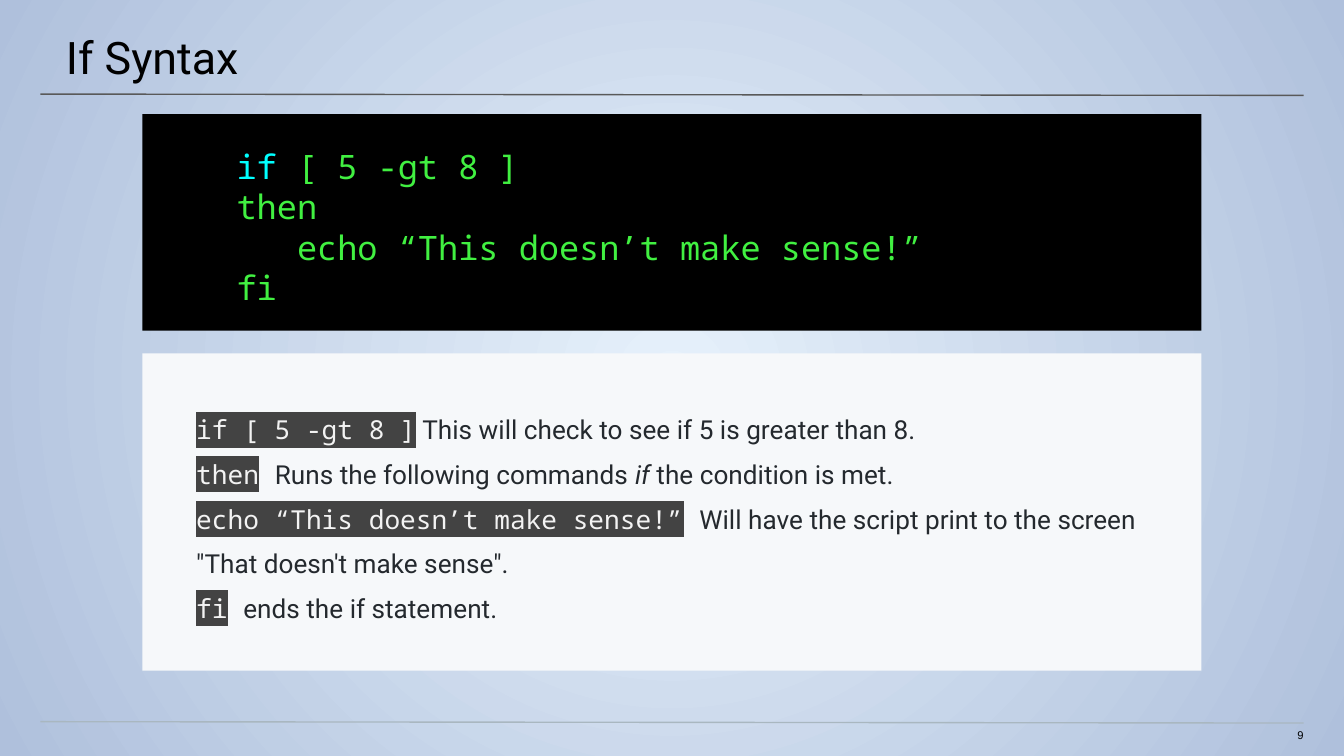
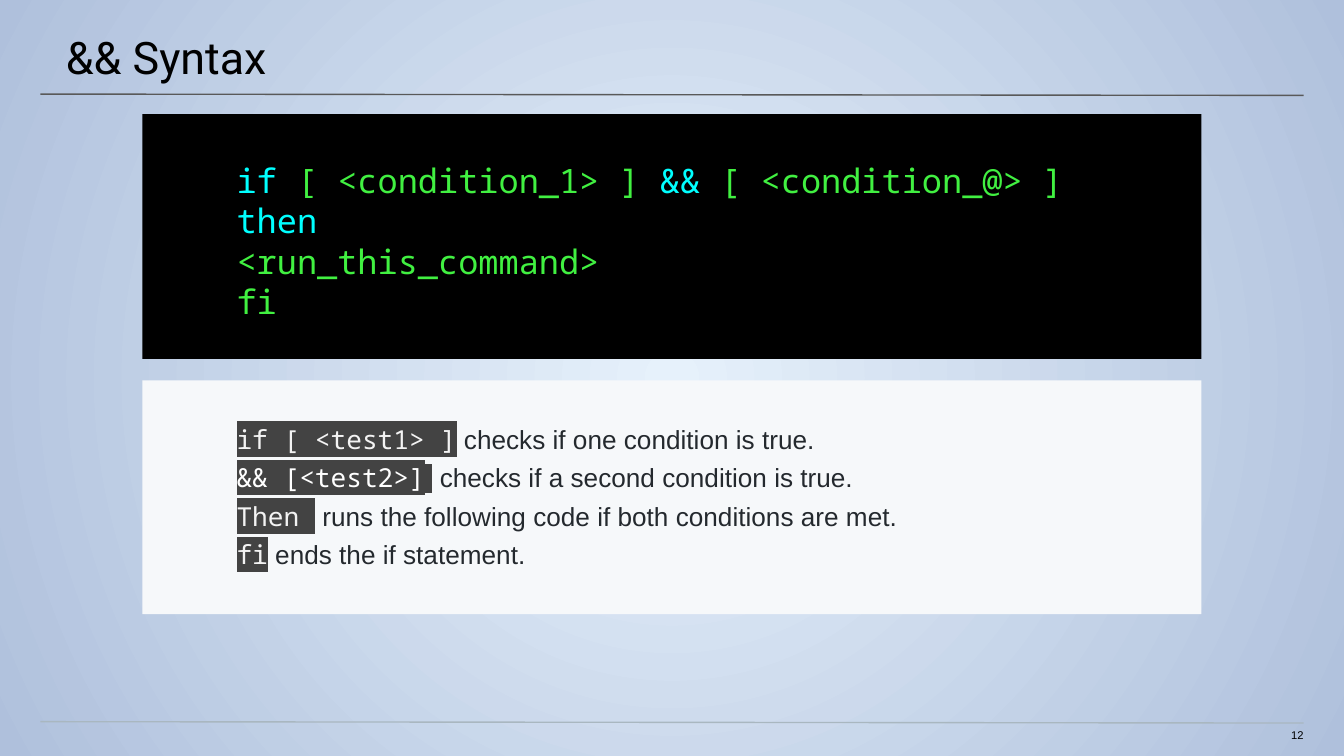
from lxml.etree import SubElement
from pptx import Presentation
from pptx.dml.color import RGBColor
from pptx.enum.shapes import MSO_CONNECTOR
from pptx.enum.text import MSO_ANCHOR, MSO_AUTO_SIZE, PP_ALIGN
from pptx.oxml import parse_xml
from pptx.oxml.ns import nsdecls, qn
from pptx.util import Pt

PX = 4572  # 200 px to the inch

BLACK = RGBColor(0x00, 0x00, 0x00)
WHITE = RGBColor(0xFF, 0xFF, 0xFF)
CYAN = RGBColor(0x00, 0xFF, 0xFF)
GREEN = RGBColor(0x41, 0xF0, 0x41)
PALE = RGBColor(0xF6, 0xF8, 0xFA)
CHALK = RGBColor(0xF3, 0xF3, 0xF3)
SLATE = RGBColor(0x43, 0x43, 0x43)
INK = RGBColor(0x24, 0x29, 0x2E)
GLOW = RGBColor(0xE6, 0xF1, 0xFB)
EDGE = RGBColor(0xAF, 0xC0, 0xDC)
GRAY = RGBColor(0x59, 0x59, 0x59)
MIST = RGBColor(0xA9, 0xB7, 0xC0)

# Run styles: font, colour, highlight, italic
MONO = "Noto Sans Mono"
HEAD = ("Roboto", BLACK, None, False)
PAGE = ("Arial", BLACK, None, False)
KEY = (MONO, CYAN, BLACK, False)
CODE = (MONO, GREEN, BLACK, False)
TAG = (MONO, CHALK, SLATE, False)
LIT = (MONO, WHITE, SLATE, False)
PAD = ("Arial", WHITE, SLATE, False)
GAP = ("Courier New", INK, None, False)
SANS = ("Roboto", INK, None, False)
SLANT = ("Roboto", INK, None, True)
PLAIN = ("Arial", INK, None, False)

# Rules: y at left, y at right, colour
RULES = [(140, 142, GRAY), (1074, 1076, MIST)]

# Note layout: top, height, left inset, top inset, line pitch, space before
SLIDES = [
    dict(
        title="If Syntax", page="9", high=322,
        code=[
            [("if", KEY), (" [ 5 -gt 8 ]", CODE)],
            [("then", CODE)],
            [("   echo “This doesn’t make sense!”", CODE)],
            [("fi", CODE)],
        ],
        note=(526, 472, 80, 70, 23.9, 0),
        lines=[
            [("if [ 5 -gt 8 ]", TAG),
             (" This will check to see if 5 is greater than 8.", SANS)],
            [("then", TAG), (" ", GAP), ("Runs the following commands ", SANS),
             ("if", SLANT), (" the condition is met.", SANS)],
            [("echo “This doesn’t make sense!”", TAG), (" ", GAP),
             ("Will have the script print to the screen "
              "\"That doesn't make sense\".", SANS)],
            [("fi", TAG), (" ", GAP), ("ends the if statement.", SANS)],
        ],
    ),
    dict(
        title="&& Syntax", page="12", high=364,
        code=[
            [("if", KEY), (" [ <condition_1> ] ", CODE), ("&&", KEY),
             (" [ <condition_@> ]", CODE)],
            [("then", KEY)],
            [("<run_this_command>", CODE)],
            [("fi", CODE)],
        ],
        note=(566, 348, 140, 64, 16.6, 4),
        lines=[
            [("if [ <test1> ]", TAG),
             (" checks if one condition is true.", PLAIN)],
            [("&& [<test2>]", LIT), (" ", PAD),
             (" checks if a second condition is true.", PLAIN)],
            [("Then ", TAG),
             (" runs the following code if both conditions are met.", PLAIN)],
            [("fi", TAG), (" ends the if statement.", PLAIN)],
        ],
    ),
]


def place(shape, box, pads, anchor):
    """Set the place, insets and anchor of a text shape."""
    shape.left, shape.top, shape.width, shape.height = [n * PX for n in box]
    frame = shape.text_frame
    frame.word_wrap = True
    frame.auto_size = MSO_AUTO_SIZE.NONE
    frame.vertical_anchor = anchor
    (frame.margin_left, frame.margin_top,
     frame.margin_right, frame.margin_bottom) = [n * PX for n in pads]


def write(shape, lines, size, pitch=None, before=0, align=PP_ALIGN.LEFT):
    """Fill a shape with unbulleted lines, run by run."""
    frame = shape.text_frame
    for i, line in enumerate(lines):
        par = frame.add_paragraph() if i else frame.paragraphs[0]
        props = par._p.get_or_add_pPr()
        props.set("marL", "0")
        props.set("indent", "0")
        SubElement(props, qn("a:buNone"))
        par.alignment = align
        par.space_before = Pt(before if i else 0)
        if pitch:
            par.line_spacing = Pt(pitch)
        for text, (face, color, mark, slant) in line:
            run = par.add_run()
            run.text = text
            font = run.font
            font.name, font.size, font.italic = face, Pt(size), slant
            font.color.rgb = color
            if mark is not None:
                fill = run._r.rPr.find(qn("a:solidFill"))
                fill.addnext(parse_xml(
                    f'<a:highlight {nsdecls("a")}>'
                    f'<a:srgbClr val="{mark}"/></a:highlight>'))


deck = Presentation()
deck.slide_width, deck.slide_height = 2000 * PX, 1125 * PX

# Radial background on the master
back = deck.slide_master.background.fill
back.gradient()
for stop, color, spot in zip(back.gradient_stops, (GLOW, EDGE), (0, 1)):
    stop.color.rgb = color
    stop.position = spot
grad = deck.slide_master.element.find(".//" + qn("p:bgPr")).find(qn("a:gradFill"))
for lin in grad.findall(qn("a:lin")):
    grad.remove(lin)
grad.find(qn("a:gsLst")).addnext(parse_xml(
    f'<a:path {nsdecls("a")} path="circle">'
    '<a:fillToRect l="50000" t="50000" r="50000" b="50000"/></a:path>'))

for item in SLIDES:
    slide = deck.slides.add_slide(deck.slide_layouts.get_by_name("Two Content"))
    title, code, note = slide.placeholders

    # Rules under the title and above the page number
    for left, right, color in RULES:
        rule = slide.shapes.add_connector(
            MSO_CONNECTOR.STRAIGHT, 60 * PX, left * PX, 1940 * PX, right * PX)
        rule.line.color.rgb = color
        rule.line.width = Pt(0.75)
        SubElement(rule._element.spPr, qn("a:effectLst"))

    # Title
    place(title, (-2, 0, 2006, 116), (100, 44, 60, 0), MSO_ANCHOR.TOP)
    write(title, [[(item["title"], HEAD)]], 24)

    # Code panel
    place(code, (212, 170, 1576, item["high"]), (140, 30, 20, 18),
          MSO_ANCHOR.MIDDLE)
    write(code, item["code"], 18, 21.6)

    # Notes panel
    top, high, inset, drop, pitch, before = item["note"]
    place(note, (212, top, 1576, high), (inset, drop, 20, 20), MSO_ANCHOR.TOP)
    write(note, item["lines"], 14, pitch, before)

    for panel, color in ((code, BLACK), (note, PALE)):
        panel.fill.solid()
        panel.fill.fore_color.rgb = color

    # Page number
    page = slide.shapes.add_textbox(0, 0, 0, 0)
    place(page, (1882, 1084, 58, 24), (0, 0, 0, 0), MSO_ANCHOR.TOP)
    write(page, [[(item["page"], PAGE)]], 6, align=PP_ALIGN.RIGHT)

deck.save("out.pptx")
